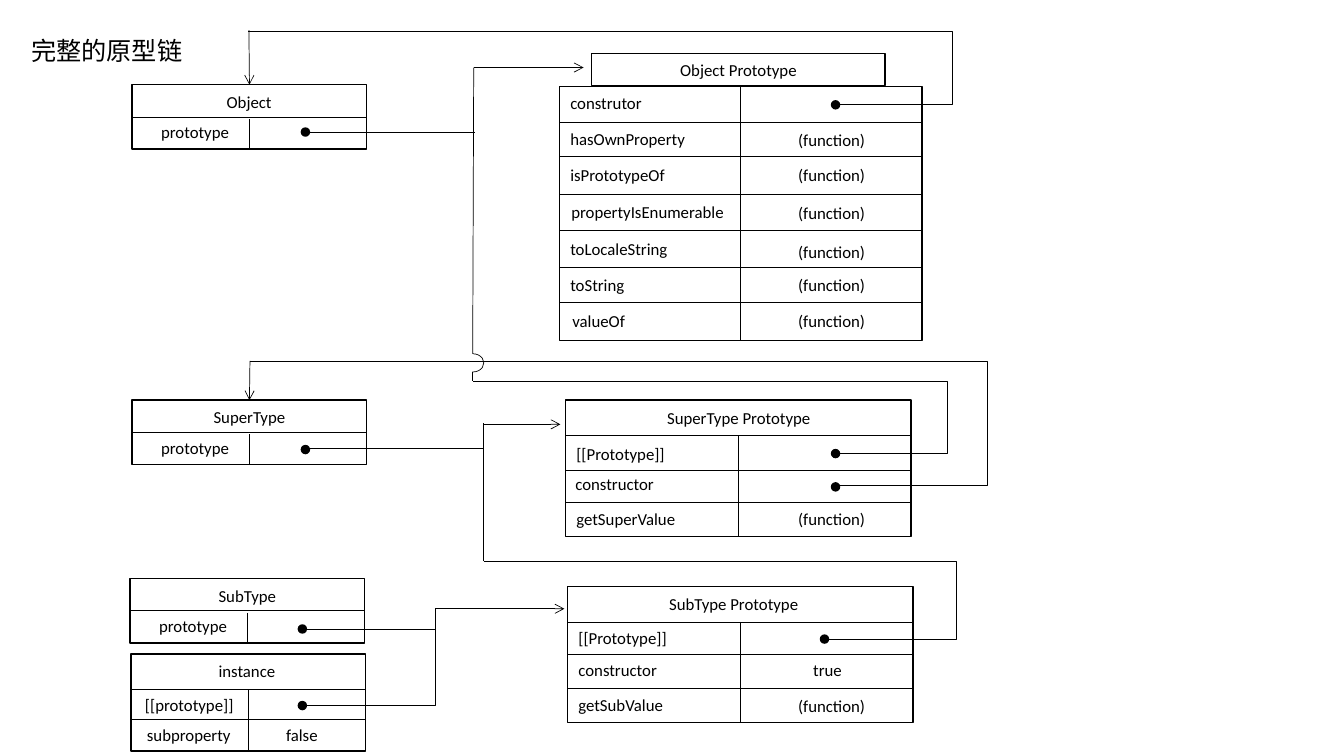
from lxml import etree
from pptx import Presentation
from pptx.dml.color import RGBColor
from pptx.enum.shapes import MSO_CONNECTOR, MSO_SHAPE
from pptx.enum.text import MSO_AUTO_SIZE
from pptx.oxml.ns import qn
from pptx.util import Cm, Pt

COLORS = {"ink": "000000", "paper": "FFFFFF"}
LABEL_FONT = {"name": "Calibri", "size": Pt(12)}
HEADING_FONT = {"name": "Calibri", "size": Pt(18)}
FREE_LABEL = {
    "word_wrap": False,
    "auto_size": MSO_AUTO_SIZE.SHAPE_TO_FIT_TEXT,
    "margin_right": Cm(0),
}
FUNCTION = "(function)"
DOT = 0.08


def inches(value):
    """The layout grid is in inches; lengths are handed on in centimetres."""
    return Cm(value * 2.54)


def apply_format(target, values):
    for name, value in values.items():
        setattr(target, name, value)


def color(name):
    return RGBColor.from_string(COLORS[name])


def outline(shape, width):
    shape.line.color.rgb = color("ink")
    shape.line.width = Pt(width)


def add_label(slide, text, left, top, width, height=0.3, font=LABEL_FONT):
    label = slide.shapes.add_textbox(*map(inches, (left, top, width, height)))
    apply_format(label.text_frame, FREE_LABEL)
    run = label.text_frame.paragraphs[0].add_run()
    run.text = text
    apply_format(run.font, font)
    run.font.color.rgb = color("ink")


def add_figure(slide, preset, box, fill, width=1):
    figure = slide.shapes.add_shape(preset, *map(inches, box))
    figure.shadow.inherit = False
    if fill:
        figure.fill.solid()
        figure.fill.fore_color.rgb = color(fill)
    else:
        figure.fill.background()
    outline(figure, width)
    return figure


def add_wire(slide, start, end, arrow=False, bend_x=None):
    kind = MSO_CONNECTOR.STRAIGHT if bend_x is None else MSO_CONNECTOR.ELBOW
    wire = slide.shapes.add_connector(kind, *map(inches, (*start, *end)))
    outline(wire, 0.5)
    properties = wire._element.spPr
    if arrow:
        etree.SubElement(properties.find(qn("a:ln")), qn("a:tailEnd"), type="arrow")
    etree.SubElement(properties, qn("a:effectLst"))
    if bend_x is not None:
        share = (bend_x - start[0]) / (end[0] - start[0])
        guides = properties.find(qn("a:prstGeom")).find(qn("a:avLst"))
        etree.SubElement(guides, qn("a:gd"), name="adj1", fmla=f"val {round(share * 100000)}")
    return wire


def draw_record(slide, box, rules, divider_top, labels):
    """Framed rows with a centred divider; offsets count from the box corner."""
    left, top, width, height = box
    frame = add_figure(slide, MSO_SHAPE.RECTANGLE, box, "paper")
    for offset in rules:
        rule = add_wire(slide, (left, top + offset), (left + width, top + offset))
        if abs(offset - height / 2) < 0.01:
            rule.begin_connect(frame, 1)
            rule.end_connect(frame, 3)
    middle = left + width / 2
    divider = add_wire(slide, (middle, top + divider_top), (middle, top + height))
    divider.end_connect(frame, 2)
    if divider_top == 0:
        divider.begin_connect(frame, 0)
    for text, dx, dy, label_width in labels:
        add_label(slide, text, left + dx, top + dy, label_width)
    return frame


def draw_type(slide, box, title, title_width):
    title_left = (box[2] - title_width) / 2
    return draw_record(slide, box, [0.32], 0.34, [
        (title, title_left, 0.02, title_width),
        ("prototype", 0.19, 0.32, 0.87),
    ])


def draw_instance(slide, box):
    draw_record(slide, box, [0.35, 0.65], 0.36, [
        ("instance", 0.77, 0.02, 0.76),
        ("[[prototype]]", 0.04, 0.35, 1.08),
        ("subproperty", 0.06, 0.65, 1.03),
        ("false", 1.44, 0.65, 0.51),
    ])


def draw_object_prototype(slide, box):
    left, top = box[:2]
    members = [
        ("construtor", 0.01, 0.01, 0.91),
        ("hasOwnProperty", 0.01, 0.37, 1.34),
        ("isPrototypeOf", 0.01, 0.73, 1.14),
        ("propertyIsEnumerable", 0.02, 1.09, 1.71),
        ("toLocaleString", 0.01, 1.46, 1.16),
        ("toString", 0.01, 1.82, 0.74),
        ("valueOf", 0.03, 2.17, 0.72),
    ]
    values = [(FUNCTION, 2.27, dy, 0.87) for dy in (0.38, 0.73, 1.1, 1.49, 1.82, 2.17)]
    draw_record(slide, box, [0.35, 0.69, 1.07, 1.43, 1.79, 2.14], 0, members + values)
    # Title tab on top of the member list
    add_figure(slide, MSO_SHAPE.RECTANGLE, (left + 0.32, top - 0.33, 2.91, 0.32), "paper")
    add_label(slide, "Object Prototype", left + 1.1, top - 0.32, 1.36)


def draw_links(slide, box, object_type, super_type):
    left, top = box[:2]

    def at(point):
        return left + point[0], top + point[1]

    # Bent links: start, end, x of the bend, arrowhead
    for start, end, bend_x, arrow in [
        ((3.04, 7), (5.6, 6.04), 4.32, True),
        ((8.22, 6.34), (4.8, 5.57), 9.49, False),
        ((8.33, 4.82), (2.48, 3.59), 9.8, False),
        ((8.33, 4.5), (4.69, 3.78), 9.4, False),
        ((8.33, 1.04), (2.46, 0.31), 9.45, False),
    ]:
        add_wire(slide, at(start), at(end), arrow, left + bend_x)
    # Straight links: start, end, arrowhead
    for start, end, arrow in [
        ((3.04, 6.24), (4.32, 6.24), False),
        ((4.8, 5.57), (4.8, 4.2), False),
        ((4.8, 4.21), (5.56, 4.21), True),
        ((3.07, 4.45), (4.8, 4.45), False),
        ((4.69, 3.78), (4.69, 3.69), False),
        ((4.69, 3.51), (4.7, 0.67), False),
        ((4.7, 0.67), (5.79, 0.67), True),
        ((3.07, 1.31), (4.71, 1.31), False),
    ]:
        add_wire(slide, at(start), at(end), arrow)
    # Arrows back to the constructors
    for start, constructor in [((2.47, 0.3), object_type), ((2.48, 3.58), super_type)]:
        add_wire(slide, at(start), at(start), arrow=True).end_connect(constructor, 0)
    # Hop over the crossing link
    hop = add_figure(slide, MSO_SHAPE.ARC, (*at((4.59, 3.51)), 0.21, 0.18), None, 0.5)
    hop.adjustments[0], hop.adjustments[1] = 162, 57.605
    # Reference dots
    for corner in [(2.96, 6.96), (2.96, 6.2), (8.14, 6.3), (2.99, 4.42),
                   (8.25, 4.79), (8.25, 4.46), (2.99, 1.27), (8.25, 1)]:
        add_figure(slide, MSO_SHAPE.OVAL, (*at(corner), DOT, DOT), "ink")


def main():
    deck = Presentation()
    deck.slide_width, deck.slide_height = Cm(33.87), Cm(19.05)
    slide = deck.slides.add_slide(deck.slide_layouts[6])

    # Constructors and instance
    object_type = draw_type(slide, (1.31, 0.84, 2.33, 0.64), "Object", 0.65)
    super_type = draw_type(slide, (1.31, 3.97, 2.33, 0.64), "SuperType", 0.91)
    draw_type(slide, (1.29, 5.74, 2.33, 0.64), "SubType", 0.77)
    draw_instance(slide, (1.3, 6.49, 2.33, 0.96))

    # Prototypes
    draw_object_prototype(slide, (5.55, 0.86, 3.6, 2.52))
    draw_record(slide, (5.61, 3.97, 3.43, 1.35), [0.35, 0.7, 1.01], 0.35, [
        ("SuperType Prototype", 0.91, 0.03, 1.62),
        ("[[Prototype]]", 0.01, 0.38, 1.08),
        ("constructor", 0, 0.68, 0.98),
        ("getSuperValue", 0.01, 1.03, 1.18),
        (FUNCTION, 2.21, 1.03, 0.87),
    ])
    draw_record(slide, (5.63, 5.82, 3.43, 1.35), [0.35, 0.67, 1.01], 0.35, [
        ("SubType Prototype", 0.91, 0.02, 1.48),
        ("[[Prototype]]", 0.01, 0.36, 1.08),
        ("constructor", 0.01, 0.68, 0.98),
        ("true", 2.34, 0.68, 0.51),
        ("getSubValue", 0.01, 1.02, 1.04),
        (FUNCTION, 2.19, 1.03, 0.87),
    ])

    # Links and heading
    draw_links(slide, (0, 0, 13.33, 7.5), object_type, super_type)
    add_label(slide, "完整的原型链", 0.21, 0.3, 1.7, 0.4, HEADING_FONT)
    deck.save("out.pptx")


if __name__ == "__main__":
    main()
